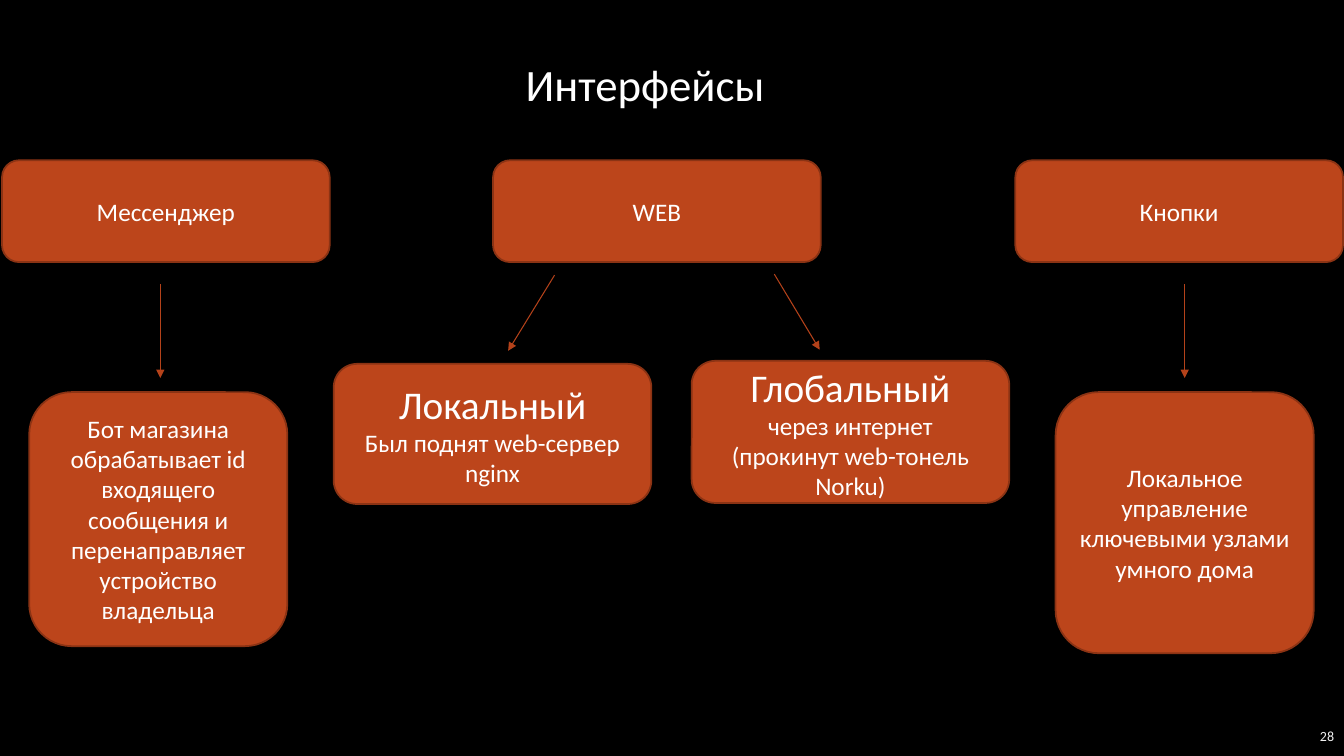
"""Build the slide about the interfaces of a smart home."""
import pptx
import pptx.dml.color
import pptx.enum.shapes
import pptx.enum.text
import pptx.oxml.ns
import pptx.util
import lxml.etree
from dataclasses import dataclass

Inches = pptx.util.Inches
ALIGN = pptx.enum.text.PP_ALIGN
ANCHOR = pptx.enum.text.MSO_ANCHOR


@dataclass(frozen=True)
class Theme:
    font: str = "Calibri"
    background: str = "000000"
    box: str = "BC451B"
    border: str = "8B3314"
    arrow: str = "B4421A"
    text: str = "FFFFFF"
    number: str = "F2F2F2"
    title_size: int = 32
    heading_size: int = 28
    body_size: int = 18
    number_size: int = 10
    border_width: float = 1.25
    arrow_width: float = 0.75


THEME = Theme()

TITLE = "Интерфейсы"
PAGE_NUMBER = "28"
HEADER_TOP, HEADER_WIDTH, HEADER_HEIGHT = 1.59, 3.25, 1.01
HEADERS = [("Мессенджер", 0.02), ("WEB", 4.89), ("Кнопки", 10.07)]
DETAILS = [
    (None, ["Бот магазина обрабатывает id входящего сообщения и перенаправляет устройство владельца"],
     (0.29, 3.89, 2.56, 2.52)),
    ("Локальный", ["Был поднят web-сервер nginx"], (3.31, 3.61, 3.15, 1.39)),
    ("Глобальный", ["через интернет", "(прокинут web-тонель Norku)"], (6.86, 3.58, 3.15, 1.41)),
    (None, ["Локальное управление ключевыми узлами умного дома"], (10.47, 3.89, 2.56, 2.59)),
]
ARROWS = [
    (1.59, 2.82, 1.59, 3.75),
    (5.5, 2.73, 5.04, 3.48),
    (7.68, 2.72, 8.13, 3.47),
    (11.75, 2.82, 11.75, 3.75),
]


def rgb(value):
    return pptx.dml.color.RGBColor.from_string(value)


def write(sp, lines, color=THEME.text, align=ALIGN.CENTER, anchor=ANCHOR.MIDDLE):
    tf = sp.text_frame
    tf.word_wrap = True
    tf.vertical_anchor = anchor
    for i, (text, size) in enumerate(lines):
        p = tf.add_paragraph() if i else tf.paragraphs[0]
        p.alignment = align
        r = p.add_run()
        r.text = text
        r.font.name = THEME.font
        r.font.size = pptx.util.Pt(size)
        r.font.color.rgb = rgb(color)


def add_label(s, box, text, size, **style):
    sp = s.shapes.add_textbox(*map(Inches, box))
    write(sp, [(text, size)], **style)


def add_box(s, box, lines):
    kind = pptx.enum.shapes.MSO_SHAPE.ROUNDED_RECTANGLE
    sp = s.shapes.add_shape(kind, *map(Inches, box))
    sp.shadow.inherit = False
    sp.fill.solid()
    sp.fill.fore_color.rgb = rgb(THEME.box)
    sp.line.color.rgb = rgb(THEME.border)
    sp.line.width = pptx.util.Pt(THEME.border_width)
    write(sp, lines)


def add_arrow(s, ends):
    kind = pptx.enum.shapes.MSO_CONNECTOR.STRAIGHT
    cn = s.shapes.add_connector(kind, *map(Inches, ends))
    cn.line.color.rgb = rgb(THEME.arrow)
    cn.line.width = pptx.util.Pt(THEME.arrow_width)
    qn = pptx.oxml.ns.qn
    sp_pr = cn._element.find(qn("p:spPr"))
    lxml.etree.SubElement(sp_pr.find(qn("a:ln")), qn("a:tailEnd"), type="triangle")
    lxml.etree.SubElement(sp_pr, qn("a:effectLst"))


def main():
    prs = pptx.Presentation()
    prs.slide_width, prs.slide_height = Inches(13.33), Inches(7.5)
    s = prs.slides.add_slide(prs.slide_layouts[6])
    s.background.fill.solid()
    s.background.fill.fore_color.rgb = rgb(THEME.background)

    add_label(s, (3.46, 0.51, 5.88, 0.64), TITLE, THEME.title_size, anchor=ANCHOR.TOP)
    for text, left in HEADERS:
        add_box(s, (left, HEADER_TOP, HEADER_WIDTH, HEADER_HEIGHT), [(text, THEME.body_size)])
    for heading, body, box in DETAILS:
        lines = [(heading, THEME.heading_size)] if heading else []
        add_box(s, box, lines + [(text, THEME.body_size) for text in body])
    for ends in ARROWS:
        add_arrow(s, ends)
    add_label(s, (12.51, 7.1, 0.82, 0.4), PAGE_NUMBER, THEME.number_size,
              color=THEME.number, align=ALIGN.RIGHT)
    prs.save("out.pptx")


if __name__ == "__main__":
    main()
